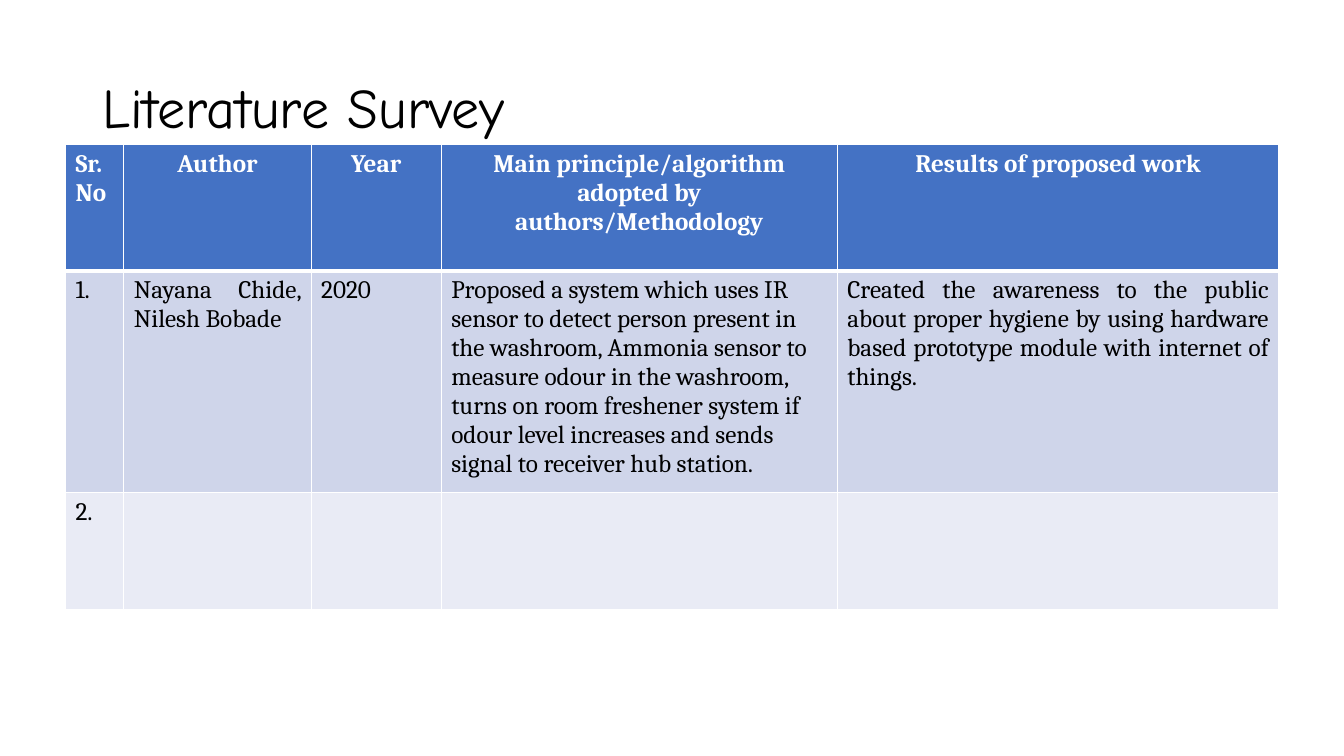
from lxml import etree
from pptx import Presentation
from pptx.dml.color import RGBColor
from pptx.enum import text
from pptx.oxml import ns
from pptx.util import Cm, Pt

LEFT, CENTER, JUSTIFY = text.PP_ALIGN.LEFT, text.PP_ALIGN.CENTER, text.PP_ALIGN.JUSTIFY
COLUMN_WIDTHS = [1.47, 4.72, 3.28, 9.98, 11.13]
ROW_HEIGHTS = [3.18, 5.4, 2.95]
ROW_FILLS = ["4472C4", "CFD5EA", "E9EBF5"]
HEADER_ALIGNMENTS = [LEFT, CENTER, CENTER, CENTER, CENTER]
BODY_ALIGNMENTS = [LEFT, JUSTIFY, LEFT, LEFT, JUSTIFY]
SURVEY = [
    ["Sr.\nNo", "Author", "Year",
     "Main principle/algorithm adopted by authors/Methodology",
     "Results of proposed work"],
    ["1.", "Nayana Chide, Nilesh Bobade", "2020",
     "Proposed a system which uses IR sensor to detect person present in the "
     "washroom, Ammonia sensor to measure odour in the washroom, turns on room "
     "freshener system if odour level increases and sends signal to receiver "
     "hub station.",
     "Created the awareness to the public about proper hygiene by using hardware "
     "based prototype module with internet of things."],
    ["2.", "", "", "", ""],
]


def color(hex_code):
    return RGBColor.from_string(hex_code)


def format_paragraph(paragraph, font_name, size, hex_code, bold=False):
    for run in paragraph.runs:
        run.font.name = font_name
        run.font.size = Pt(size)
        run.font.bold = bold
        run.font.color.rgb = color(hex_code)


def add_borders(cell, top, bottom):
    """Give the cell white borders, 1 pt at the sides; call before filling it."""
    properties = cell._tc.get_or_add_tcPr()
    for side, width in (("L", 1), ("R", 1), ("T", top), ("B", bottom)):
        line = etree.SubElement(properties, ns.qn(f"a:ln{side}"), w=str(Pt(width)))
        fill = etree.SubElement(line, ns.qn("a:solidFill"))
        etree.SubElement(fill, ns.qn("a:srgbClr"), val="FFFFFF")


def add_title(slide, left, top, width, height):
    frame = slide.shapes.add_textbox(left, top, width, height).text_frame
    frame.word_wrap = True
    frame.vertical_anchor = text.MSO_ANCHOR.MIDDLE
    frame.text = "Literature Survey"
    heading = frame.paragraphs[0]
    heading.line_spacing = 0.9
    format_paragraph(heading, "Comic Neue", 40, "000000")


def add_survey_table(slide, left, top, width, height):
    """Share the box out in proportion to the column widths and row heights."""
    survey = slide.shapes.add_table(
        len(SURVEY), len(COLUMN_WIDTHS), left, top, width, height).table
    for column, share in zip(survey.columns, COLUMN_WIDTHS):
        column.width = int(width * share / sum(COLUMN_WIDTHS))
    for row, share in zip(survey.rows, ROW_HEIGHTS):
        row.height = int(height * share / sum(ROW_HEIGHTS))

    for row_index, entries in enumerate(SURVEY):
        is_header = row_index == 0
        alignments = HEADER_ALIGNMENTS if is_header else BODY_ALIGNMENTS
        for column_index, entry in enumerate(entries):
            cell = survey.cell(row_index, column_index)
            add_borders(cell, top=3 if row_index == 1 else 1,
                        bottom=3 if is_header else 1)
            cell.fill.solid()
            cell.fill.fore_color.rgb = color(ROW_FILLS[row_index])
            cell.text_frame.text = entry
            for paragraph in cell.text_frame.paragraphs:
                paragraph.alignment = alignments[column_index]
                format_paragraph(paragraph, "Cambria", 18,
                                 "FFFFFF" if is_header else "000000", is_header)


def main():
    presentation = Presentation()
    presentation.slide_width, presentation.slide_height = Cm(33.87), Cm(19.05)
    slide = presentation.slides.add_slide(presentation.slide_layouts[6])
    add_title(slide, Cm(2.33), Cm(0.94), Cm(29.21), Cm(3.68))
    add_survey_table(slide, Cm(1.65), Cm(3.64),
                     Cm(sum(COLUMN_WIDTHS)), Cm(sum(ROW_HEIGHTS)))
    presentation.save("out.pptx")


if __name__ == "__main__":
    main()
